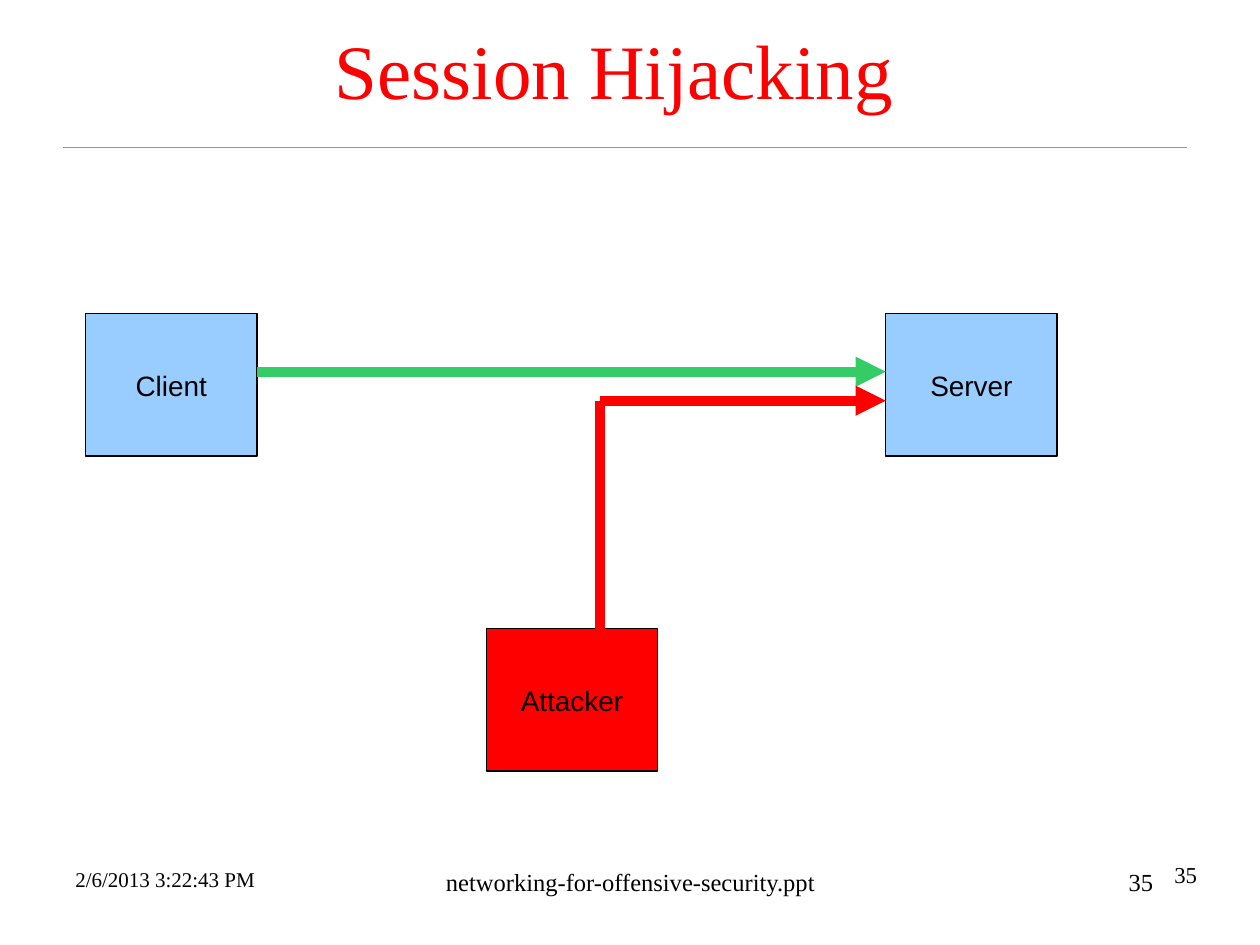
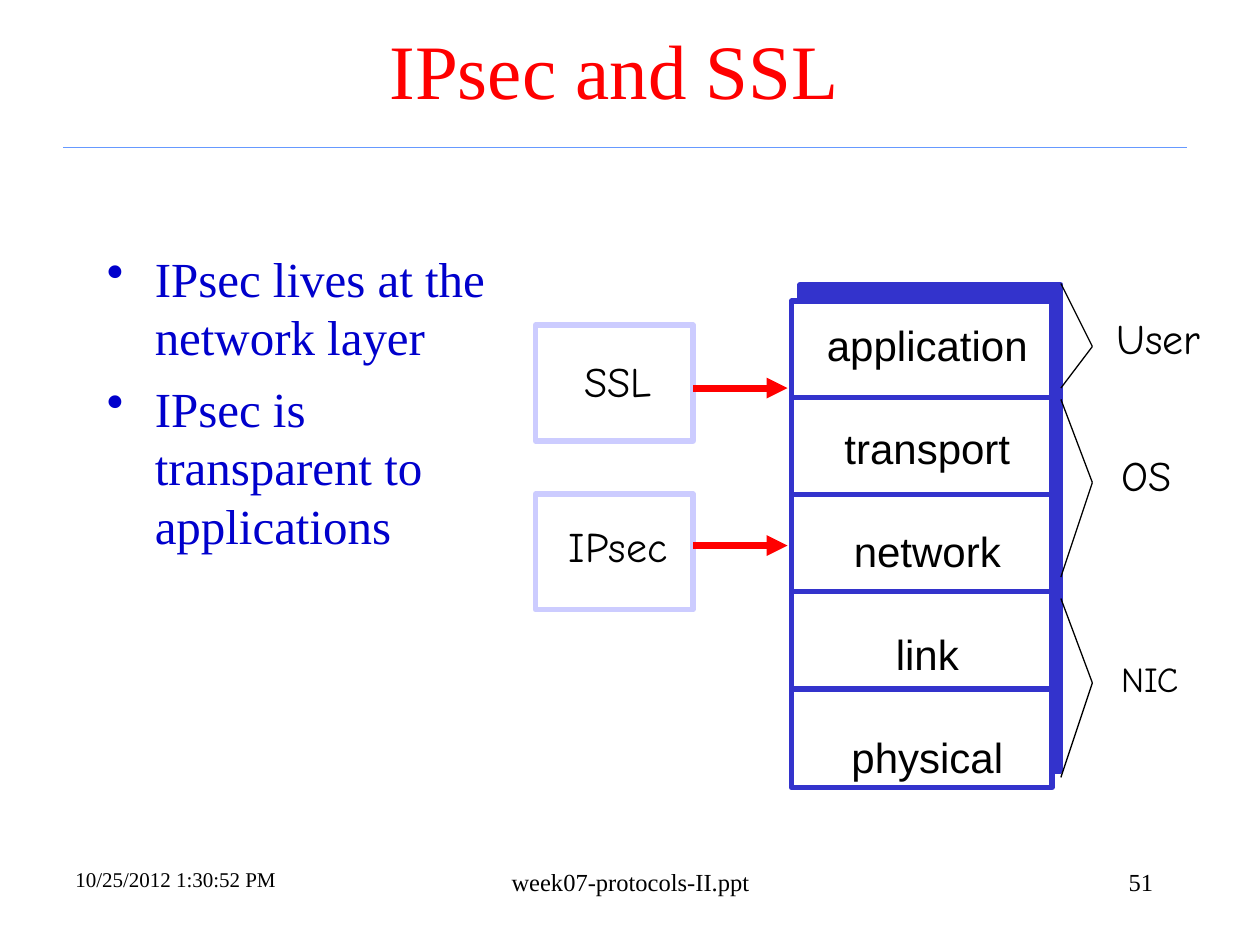
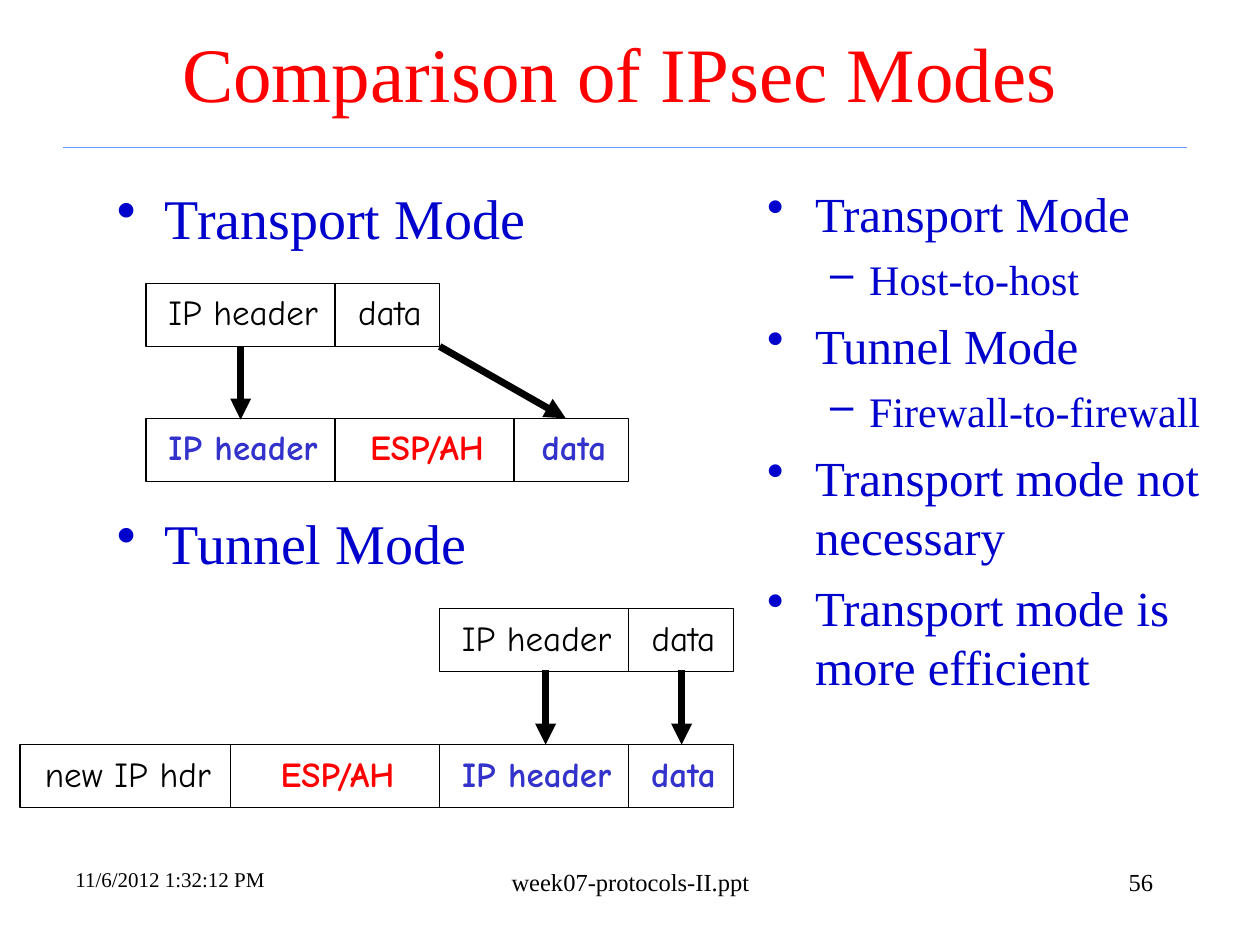
"""Build three network security slides: hijacking, IPsec and SSL, IPsec modes."""
from lxml import etree
from pptx import Presentation, util as u
from pptx.dml.color import RGBColor
from pptx.enum import shapes, text
from pptx.oxml import ns

RED, BLUE, INK, WHITE = "FF0000", "0000CC", "000000", "FFFFFF"
RULE, SKY, GREEN, NAVY, PALE = "6699FF", "99CCFF", "33CC66", "3333CC", "CCCCFF"
SERIF, SANS, COMIC = "Times New Roman", "Arial", "Comic Neue"
LEFT, MID, RIGHT = text.PP_ALIGN.LEFT, text.PP_ALIGN.CENTER, text.PP_ALIGN.RIGHT
RECT, ROUND = shapes.MSO_SHAPE.RECTANGLE, shapes.MSO_SHAPE.ROUNDED_RECTANGLE
TITLE = (0.5, 0.17, 8.75, 0.75)

HOSTS = [("Client", 0.68, 2.49, SKY), ("Server", 7.03, 2.49, SKY), ("Attacker", 3.86, 4.99, RED)]
FLOWS = [(2.04, 2.95, 7.03, 2.95, GREEN, True), (4.76, 3.18, 7.03, 3.18, RED, True),
         (4.76, 3.18, 4.76, 4.99, RED, False)]

GOALS = [("IPsec lives at the network layer", 0), ("IPsec is transparent to applications", 0)]
LAYERS = ["application", "transport", "network", "link", "physical"]
TOOLS = [("SSL", 2.58, 2.77, 3.08), ("IPsec", 3.92, 4.08, 4.33)]
OWNERS = [("User", 8.76, 2.43, 24, (2.25, 2.75, 3.08)), ("OS", 8.8, 3.52, 24, (3.17, 3.83, 4.58)),
          ("NIC", 8.8, 5.17, 20, (4.75, 5.42, 6.17))]

PLAIN = [("IP header", 1.5, INK), ("data", 0.83, INK)]
PACKETS = [
    (1.16, 2.25, PLAIN),
    (1.16, 3.32, [("IP header", 1.5, NAVY), ("ESP/AH", 1.42, RED), ("data", 0.91, NAVY)]),
    (3.49, 4.83, PLAIN),
    (0.16, 5.91, [("new IP hdr", 1.67, INK), ("ESP/AH", 1.66, RED),
                  ("IP header", 1.5, NAVY), ("data", 0.83, NAVY)]),
]
MOVES = [(1.91, 2.75, 1.91, 3.33), (3.49, 2.75, 4.49, 3.32),
         (4.33, 5.32, 4.33, 5.91), (5.41, 5.32, 5.41, 5.91)]
MODES = [("Transport Mode", 1.41), ("Tunnel Mode", 3.99)]
NOTES = [("Transport Mode", 0), ("Host-to-host", 1), ("Tunnel Mode", 0),
         ("Firewall-to-firewall", 1), ("Transport mode not necessary", 0),
         ("Transport mode is more efficient", 0)]


def hue(code):
    """Turn a hex string into a colour."""
    return RGBColor.from_string(code)


def inch(*vals):
    """Turn numbers into inch lengths."""
    return [u.Inches(v) for v in vals]


def fill_text(frame, lines, size, font, color, align=LEFT, bold=False, gap=0):
    """Set the lines of a frame and format every run."""
    frame.text = "\n".join(lines)
    for i, para in enumerate(frame.paragraphs):
        para.alignment = align
        if gap and i:
            para.space_before = u.Pt(gap)
        for run in para.runs:
            run.font.size, run.font.name, run.font.bold = u.Pt(size), font, bold
            run.font.color.rgb = hue(color)


def label(slide, box, words, size, font=SERIF, color=INK, align=LEFT, bold=False,
          gap=0, pad=True, mid=False):
    """Add a text box holding one string or a list of lines."""
    frame = slide.shapes.add_textbox(*inch(*box)).text_frame
    frame.word_wrap = True
    if not pad:
        frame.margin_left = frame.margin_right = frame.margin_top = frame.margin_bottom = 0
    if mid:
        frame.vertical_anchor = text.MSO_ANCHOR.MIDDLE
    lines = [words] if isinstance(words, str) else words
    fill_text(frame, lines, size, font, color, align, bold, gap)
    return frame


def bullets(slide, box, items, size):
    """Add a bulleted list of (words, level) pairs."""
    frame = label(slide, box, [words for words, _ in items], size, color=BLUE)
    for i, (para, (_, level)) in enumerate(zip(frame.paragraphs, items)):
        mark, edge, hang = [("•", 0.38, 0.38), ("–", 0.81, 0.31)][level]
        props = para._p.get_or_add_pPr()
        props.set("marL", str(u.Inches(edge)))
        props.set("indent", str(-u.Inches(hang)))
        tint = etree.SubElement(props, ns.qn("a:buClr"))
        etree.SubElement(tint, ns.qn("a:srgbClr"), val=BLUE)
        etree.SubElement(props, ns.qn("a:buChar"), char=mark)
        para.level = level
        para.runs[0].font.size = u.Pt(size - 4 * level)
        if i:
            para.space_before = u.Pt(size / 4 - level)


def block(slide, box, fill, line, width, kind=RECT):
    """Add a framed shape, hollow when fill is None."""
    shape = slide.shapes.add_shape(kind, *inch(*box))
    shape.shadow.inherit = False
    if fill:
        shape.fill.solid()
        shape.fill.fore_color.rgb = hue(fill)
    else:
        shape.fill.background()
    shape.line.color.rgb, shape.line.width = hue(line), u.Pt(width)
    return shape


def line(slide, ends, color, width, head=False):
    """Add a straight line, with an arrowhead if asked."""
    link = slide.shapes.add_connector(shapes.MSO_CONNECTOR.STRAIGHT, *inch(*ends))
    link.line.color.rgb, link.line.width = hue(color), u.Pt(width)
    if head:
        etree.SubElement(link.line._get_or_add_ln(), ns.qn("a:tailEnd"), type="triangle")
    etree.SubElement(link._element.spPr, ns.qn("a:effectLst"))


def start(deck, title, name, page, stamp, box=TITLE):
    """Add a slide with its rule, title and footer."""
    slide = deck.slides.add_slide(deck.slide_layouts[6])
    line(slide, (0.5, 1.17, 9.42, 1.17), RULE, 1)
    label(slide, box, title, 44, color=RED, align=MID, mid=True)
    label(slide, (3.42, 6.83, 3.17, 0.5), name, 14, align=MID)
    label(slide, (7.17, 6.83, 2.08, 0.5), page, 14, align=RIGHT)
    label(slide, (0.5, 6.83, 3.21, 0.5), stamp, 12)
    return slide


def hijack(deck):
    """Draw the attacker joining a session."""
    slide = start(deck, "Session Hijacking", "networking-for-offensive-security.ppt",
                  "35", "2/6/2013 3:22:43 PM")
    for name, x, y, fill in HOSTS:
        host = block(slide, (x, y, 1.36, 1.13), fill, INK, 0.75, ROUND)
        host.adjustments[0] = 0
        host.text_frame.vertical_anchor = text.MSO_ANCHOR.MIDDLE
        fill_text(host.text_frame, [name], 16, SANS, INK, MID)
    for *ends, color, head in FLOWS:
        line(slide, ends, color, 5.75, head)
    label(slide, (7.17, 6.83, 2.33, 0.52), "35", 13, align=RIGHT, pad=False)


def stack(deck):
    """Draw the protocol stack with its tools and owners."""
    slide = start(deck, "IPsec and SSL", "week07-protocols-II.ppt", "51", "10/25/2012 1:30:52 PM")
    bullets(slide, (0.75, 1.92, 3.25, 4.67), GOALS, 28)
    x, y, wide, high = 6.28, 2.39, 2.07, 3.86
    block(slide, (x + 0.07, y - 0.13, wide, high), NAVY, NAVY, 3)
    block(slide, (x, y, wide, high), WHITE, NAVY, 3)
    label(slide, (x, y + 0.1, wide + 0.09, 3.7), LAYERS, 24, SANS, align=MID, gap=30)
    for i in range(1, len(LAYERS)):
        row = y - 0.01 + i * high / len(LAYERS)
        line(slide, (x, row, x + wide, row), NAVY, 3)
    for name, top, words, aim in TOOLS:
        block(slide, (4.25, top, 1.25, 0.92), None, PALE, 3)
        label(slide, (4.28, words, 1.25, 0.5), name, 24, COMIC, align=MID)
        line(slide, (5.5, aim, 6.25, aim), RED, 4, True)
    for name, left, top, size, (a, b, c) in OWNERS:
        line(slide, (8.42, a, 8.67, b), INK, 0.75)
        line(slide, (8.67, b, 8.42, c), INK, 0.75)
        label(slide, (left, top, 1.1, 0.5), name, size, COMIC)


def modes(deck):
    """Draw the packets of both IPsec modes beside the notes."""
    slide = start(deck, "Comparison of IPsec Modes", "week07-protocols-II.ppt", "56",
                  "11/6/2012 1:32:12 PM", (0.67, 0.14, 8.5, 0.86))
    for name, top in MODES:
        bullets(slide, (0.83, top, 4.83, 0.83), [(name, 0)], 32)
    for left, top, cells in PACKETS:
        block(slide, (left, top, sum(c[1] for c in cells), 0.5), None, INK, 0.75)
        x = left
        for name, wide, color in cells:
            if x > left:
                line(slide, (x, top, x, top + 0.5), INK, 0.75)
            label(slide, (x - 0.08, top + 0.01, wide + 0.2, 0.44), name, 20, COMIC,
                  color, MID, color != INK)
            x += wide
    for ends in MOVES:
        line(slide, ends, INK, 4, True)
    bullets(slide, (5.99, 1.41, 3.75, 5.25), NOTES, 28)


def main():
    """Build and save the deck."""
    deck = Presentation()
    deck.slide_width, deck.slide_height = inch(10, 7.5)
    for draw in (hijack, stack, modes):
        draw(deck)
    deck.save("out.pptx")


if __name__ == "__main__":
    main()
